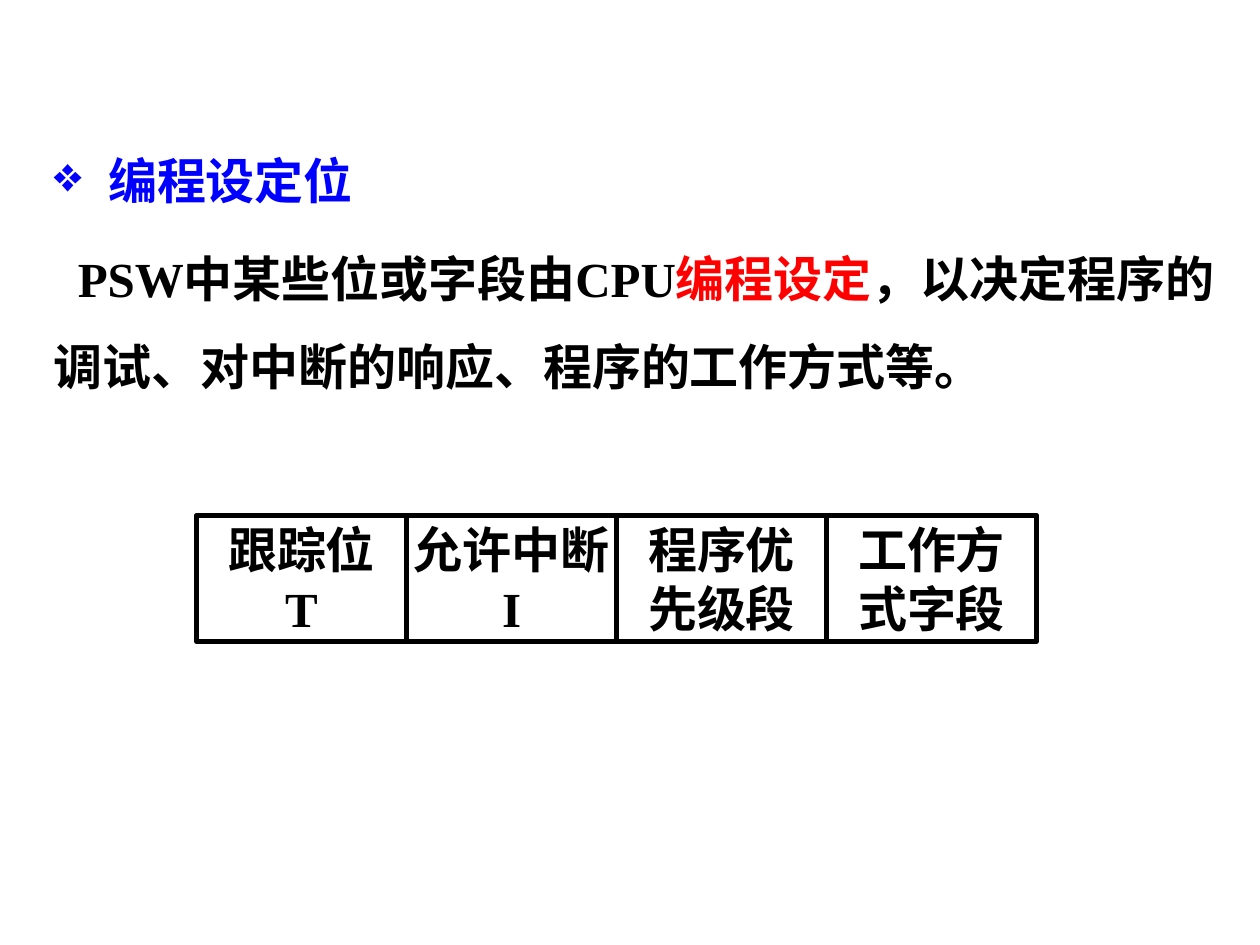
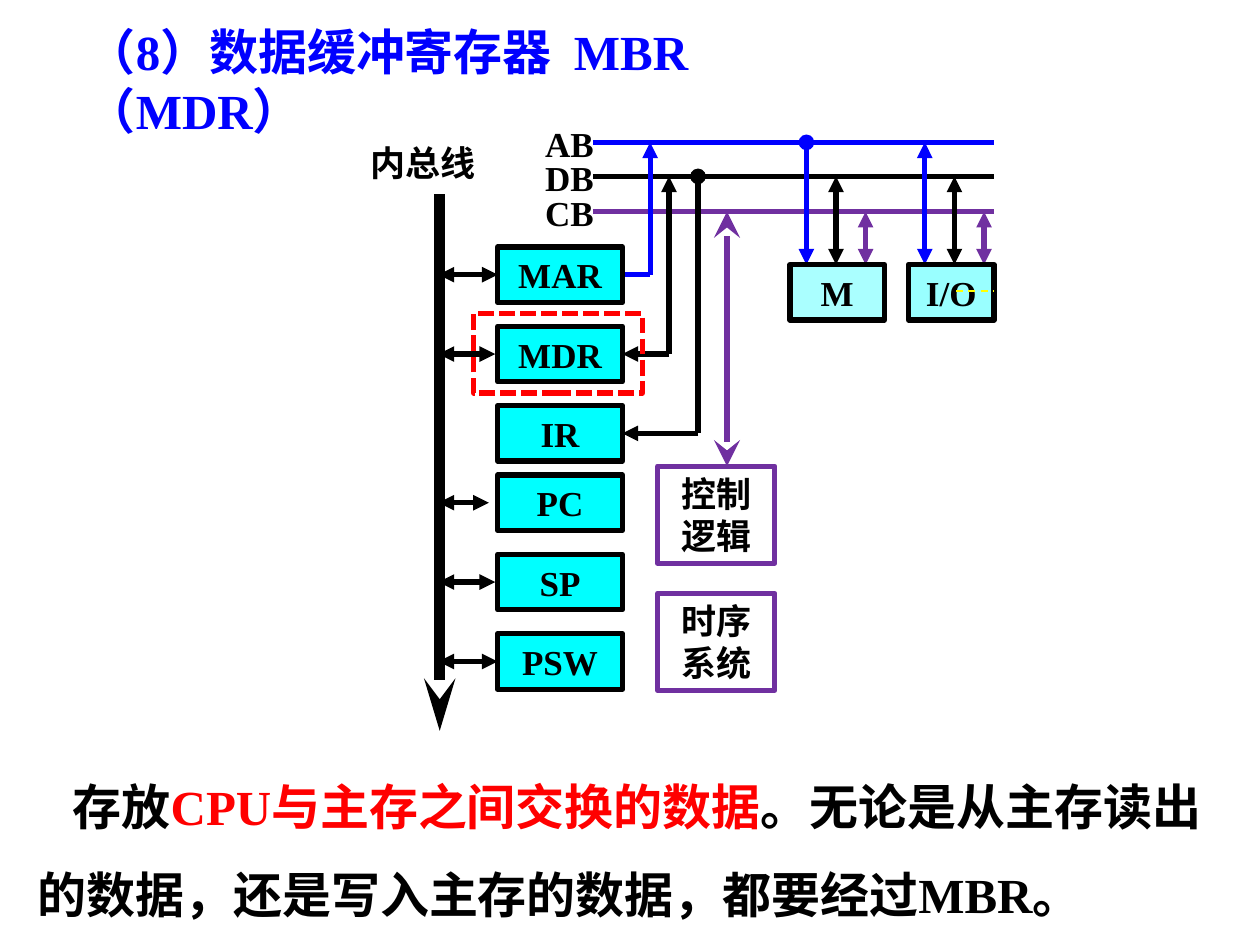
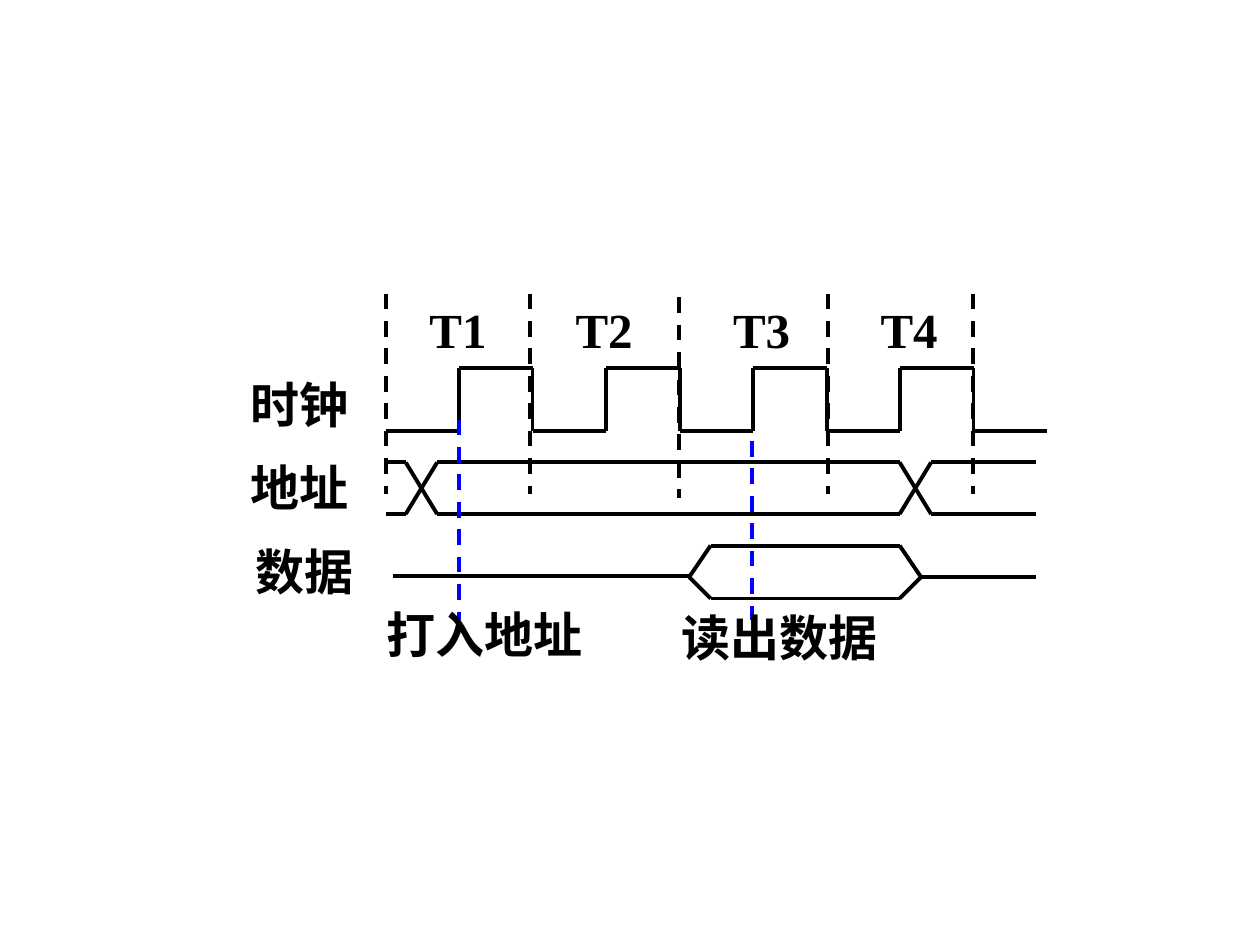
from itertools import pairwise

from lxml.etree import SubElement
from pptx import Presentation
from pptx.dml.color import RGBColor
from pptx.enum.dml import MSO_LINE
from pptx.enum.shapes import MSO_CONNECTOR, MSO_SHAPE
from pptx.enum.text import MSO_ANCHOR, PP_ALIGN
from pptx.oxml.ns import qn
from pptx.util import Inches, Pt

# Shared style
FONT = "Times New Roman"
BLACK, BLUE, RED, PURPLE = "000000", "0000FF", "FF0000", "7030A0"
CYAN, PALE_CYAN, ICE, YELLOW = "00FFFF", "AAFFFF", "99FFFF", "FFFF00"
TITLE_ONLY, BLANK = 5, 6
LARGE, SMALL = 28, 20

# Content of slide 1: paragraphs are lists of (text, colour) runs
SETTING_HEADING = [("编程设定位", BLUE)]
SETTING_BODY = [
    ("PSW中某些位或字段由CPU", BLACK),
    ("编程设定", RED),
    ("，以决定程序的调试、对中断的响应、程序的工作方式等。", BLACK),
]
PSW_FIELDS = [("跟踪位", "T"), ("允许中断", "I"), ("程序优", "先级段"), ("工作方", "式字段")]

# Content of slide 2
REGISTER_TITLE = [("（8）数据缓冲寄存器  MBR（MDR）", BLUE)]
REGISTER_NOTE = [
    ("存放", BLACK),
    ("CPU与主存之间交换的数据", RED),
    ("。无论是从主存读出的数据，还是写入主存的数据，都要经过MBR。", BLACK),
]
# name, top, right end of the arrow to the inner bus
REGISTERS = [
    ("MAR", 1.96, 3.95), ("MDR", 2.59, 3.93), ("IR", 3.22, None),
    ("PC", 3.77, 3.88), ("SP", 4.4, 3.93), ("PSW", 5.03, 3.95),
]
BUSES = [("AB", 1.13, BLUE), ("DB", 1.4, BLACK), ("CB", 1.68, PURPLE)]
# name, left, width, fill, x of the address link, head of the address link
DEVICES = [
    ("M", 6.27, 0.75, PALE_CYAN, 6.4, "oval"),
    ("I/O", 7.21, 0.68, ICE, 7.34, "triangle"),
]
CONTROL_UNITS = [("控制逻辑", 3.7), ("时序系统", 4.71)]

# Content of slide 3: (text, left, top, width)
SIGNAL_LABELS = [
    ("时钟", 1.89, 2.92, 1.5), ("地址", 1.89, 3.58, 1.5), ("数据", 1.93, 4.25, 1.18),
    ("T1", 3.31, 2.33, 1.08), ("T2", 4.47, 2.33, 1.08),
    ("T3", 5.72, 2.33, 1.08), ("T4", 6.89, 2.33, 1.08),
]
EVENT_LABELS = [("打入地址", 2.97, 4.75, 2.08), ("读出数据", 5.31, 4.77, 2.08)]
PERIOD_MARKS = [(3.06, 2.33), (4.21, 2.33), (5.39, 2.36), (6.57, 2.33), (7.72, 2.33)]
EVENT_MARKS = [(3.64, 3.33), (5.97, 3.5)]


def color(hex_value):
    return RGBColor.from_string(hex_value)


def write(paragraph, runs, size):
    for text, hex_value in runs:
        run = paragraph.add_run()
        run.text = text
        run.font.name = FONT
        run.font.size = Pt(size)
        run.font.bold = True
        run.font.color.rgb = color(hex_value)


def indent(paragraph, left, first, bullet=None):
    properties = paragraph._p.get_or_add_pPr()
    properties.set("marL", str(Inches(left)))
    properties.set("indent", str(Inches(first)))
    if bullet:
        SubElement(properties, qn("a:buChar")).set("char", bullet)


def add_text(slide, left, top, width, height, paragraphs, size, align=PP_ALIGN.LEFT):
    box = slide.shapes.add_textbox(Inches(left), Inches(top), Inches(width), Inches(height))
    frame = box.text_frame
    frame.word_wrap = True
    for index, runs in enumerate(paragraphs):
        paragraph = frame.paragraphs[0] if index == 0 else frame.add_paragraph()
        paragraph.alignment = align
        write(paragraph, runs, size)
    return frame


def add_box(slide, left, top, width, height, lines=(), size=SMALL,
            fill=None, outline=BLACK, wrap=True):
    box = slide.shapes.add_shape(
        MSO_SHAPE.RECTANGLE, Inches(left), Inches(top), Inches(width), Inches(height))
    box.shadow.inherit = False
    if fill:
        box.fill.solid()
        box.fill.fore_color.rgb = color(fill)
    else:
        box.fill.background()
    box.line.color.rgb = color(outline)
    box.line.width = Pt(3)
    frame = box.text_frame
    frame.word_wrap = wrap
    frame.vertical_anchor = MSO_ANCHOR.MIDDLE
    for index, text in enumerate(lines):
        paragraph = frame.paragraphs[0] if index == 0 else frame.add_paragraph()
        paragraph.alignment = PP_ALIGN.CENTER
        write(paragraph, [(text, BLACK)], size)
    return box


def add_line(slide, start, end, hex_value=BLACK, width=3.0, head=None, tail=None,
             dash=None, arrow_width="med", arrow_length="med"):
    x1, y1, x2, y2 = (Inches(value) for value in (*start, *end))
    connector = slide.shapes.add_connector(MSO_CONNECTOR.STRAIGHT, x1, y1, x2, y2)
    connector.line.color.rgb = color(hex_value)
    connector.line.width = Pt(width)
    if dash:
        connector.line.dash_style = dash
    outline = connector.line._get_or_add_ln()
    for tag, kind in (("a:headEnd", head), ("a:tailEnd", tail)):
        if kind:
            arrow = SubElement(outline, qn(tag))
            arrow.set("type", kind)
            arrow.set("w", arrow_width)
            arrow.set("len", arrow_length)
    SubElement(connector._element.spPr, qn("a:effectLst"))


def add_chain(slide, points, **style):
    for start, end in pairwise(points):
        add_line(slide, start, end, **style)


def build_setting_slide(presentation):
    slide = presentation.slides.add_slide(presentation.slide_layouts[BLANK])
    frame = add_text(slide, 0.33, 0.91, 9.67, 2.32, [SETTING_HEADING, SETTING_BODY], LARGE)
    heading, body = frame.paragraphs
    for paragraph in (heading, body):
        paragraph.line_spacing = 1.5
    body.space_before = Pt(5.6)
    indent(heading, 0.43, -0.43, "❖")
    indent(body, 0, 0.19)

    # Row of register fields
    field_width = 5 / 3
    for index, lines in enumerate(PSW_FIELDS):
        add_box(slide, 1.56 + index * field_width, 4.09, field_width, 1, lines, LARGE, wrap=False)


def build_register_slide(presentation):
    slide = presentation.slides.add_slide(presentation.slide_layouts[TITLE_ONLY])
    title = slide.shapes.title
    title.left, title.top = Inches(0.59), Inches(0.12)
    title.width, title.height = Inches(6.5), Inches(1.03)
    title.text_frame.word_wrap = True
    title.text_frame.vertical_anchor = MSO_ANCHOR.TOP
    paragraph = title.text_frame.paragraphs[0]
    paragraph.alignment = PP_ALIGN.LEFT
    write(paragraph, REGISTER_TITLE, LARGE)

    # Inner bus and its links
    bus_x, box_left, box_width, box_height = 3.48, 3.95, 0.99, 0.44
    box_right = box_left + box_width
    add_line(slide, (3.49, 1.54), (3.49, 5.8), width=6, tail="stealth", arrow_length="lg")
    both = {"head": "triangle", "tail": "triangle"}
    middles = {name: top + box_height / 2 for name, top, _ in REGISTERS}
    for name, _, link_end in REGISTERS:
        if link_end:
            add_line(slide, (link_end, middles[name]), (bus_x, middles[name]), **both)

    # System buses
    for name, y, hex_value in BUSES:
        add_line(slide, (4.71, y), (7.89, y), hex_value)
    address, data, control = (y for _, y, _ in BUSES)

    # Links from the registers to the system buses
    mar, mdr, ir = (middles[name] for name in ("MAR", "MDR", "IR"))
    add_line(slide, (box_right, mar), (5.16, mar), BLUE)
    add_line(slide, (5.16, mar), (5.16, address), BLUE, tail="triangle")
    add_line(slide, (5.31, mdr), (box_right, mdr), tail="triangle")
    add_line(slide, (5.31, mdr), (5.31, data), tail="triangle")
    add_line(slide, (5.54, data), (5.54, ir), head="oval")
    add_line(slide, (5.54, ir), (box_right, ir), tail="triangle")
    add_line(slide, (5.77, control), (5.77, 3.7), PURPLE, head="stealth", tail="stealth",
             arrow_width="lg", arrow_length="lg")

    # Memory and input/output, each with three links
    device_top, link_gap = 2.1, 0.235
    for name, left, width, fill, x, head in DEVICES:
        add_line(slide, (x, address), (x, device_top), BLUE, head=head, tail="triangle")
        add_line(slide, (x + link_gap, data), (x + link_gap, device_top), **both)
        add_line(slide, (x + 2 * link_gap, control), (x + 2 * link_gap, device_top),
                 PURPLE, **both)
        add_box(slide, left, device_top, width, box_height, [name], fill=fill)
    add_line(slide, (7.59, 2.31), (7.89, 2.31), YELLOW, 1, dash=MSO_LINE.DASH)

    # Registers, control units and bus names
    for name, top, _ in REGISTERS:
        add_box(slide, box_left, top, box_width, box_height, [name], fill=CYAN)
    for name, top in CONTROL_UNITS:
        add_box(slide, 5.22, top, 0.93, 0.77, [name], outline=PURPLE)
    for name, y, _ in BUSES:
        add_text(slide, 4.1, y - 0.21, 0.84, 0.44, [[(name, BLACK)]], SMALL, PP_ALIGN.CENTER)
    add_text(slide, 2.56, 1.07, 1.59, 0.44, [[("内总线", BLACK)]], SMALL, PP_ALIGN.CENTER)

    # Highlight around MDR
    highlight = add_box(slide, 3.76, 2.49, 1.34, 0.63, outline=RED)
    highlight.line.dash_style = MSO_LINE.SQUARE_DOT

    note = add_text(slide, 0.2, 5.88, 9.61, 1.43, [REGISTER_NOTE], LARGE).paragraphs[0]
    note.line_spacing = 1.5
    indent(note, 0, 0.28)


def build_timing_slide(presentation):
    slide = presentation.slides.add_slide(presentation.slide_layouts[BLANK])
    wave = {"width": 2.25}
    start, half_period = 3.06, 7 / 12
    add_line(slide, (3.39, 3.5), (3.39, 3.5), width=1)

    # Clock: low and high half periods in turn
    clock = []
    for index in range(9):
        level = 2.92 if index % 2 else 3.42
        clock += [(start + (index + step) * half_period, level) for step in (0, 1)]
    add_chain(slide, clock, **wave)

    # Address: two levels that cross twice
    high, low = 3.67, 4.08
    for first, second in ((high, low), (low, high)):
        add_chain(slide, [(start, first), (3.22, first), (3.47, second), (7.14, second),
                          (7.39, first), (8.22, first)], **wave)

    # Data: idle, valid, idle
    add_line(slide, (3.12, 4.57), (5.48, 4.57), **wave)
    for level in (4.33, 4.75):
        add_chain(slide, [(5.47, 4.58), (5.64, level), (7.14, level), (7.31, 4.58)], **wave)
    add_line(slide, (7.31, 4.58), (8.22, 4.58), **wave)

    # Dashed marks and labels
    for x, top in EVENT_MARKS:
        add_line(slide, (x, top), (x, 4.92), BLUE, dash=MSO_LINE.DASH, **wave)
    for x, top in PERIOD_MARKS:
        add_line(slide, (x, top), (x, top + 1.59), dash=MSO_LINE.DASH, **wave)
    for text, left, top, width in SIGNAL_LABELS + EVENT_LABELS:
        add_text(slide, left, top, width, 0.57, [[(text, BLACK)]], LARGE)


presentation = Presentation()
presentation.slide_width, presentation.slide_height = Inches(10), Inches(7.5)
build_setting_slide(presentation)
build_register_slide(presentation)
build_timing_slide(presentation)
presentation.save("out.pptx")
